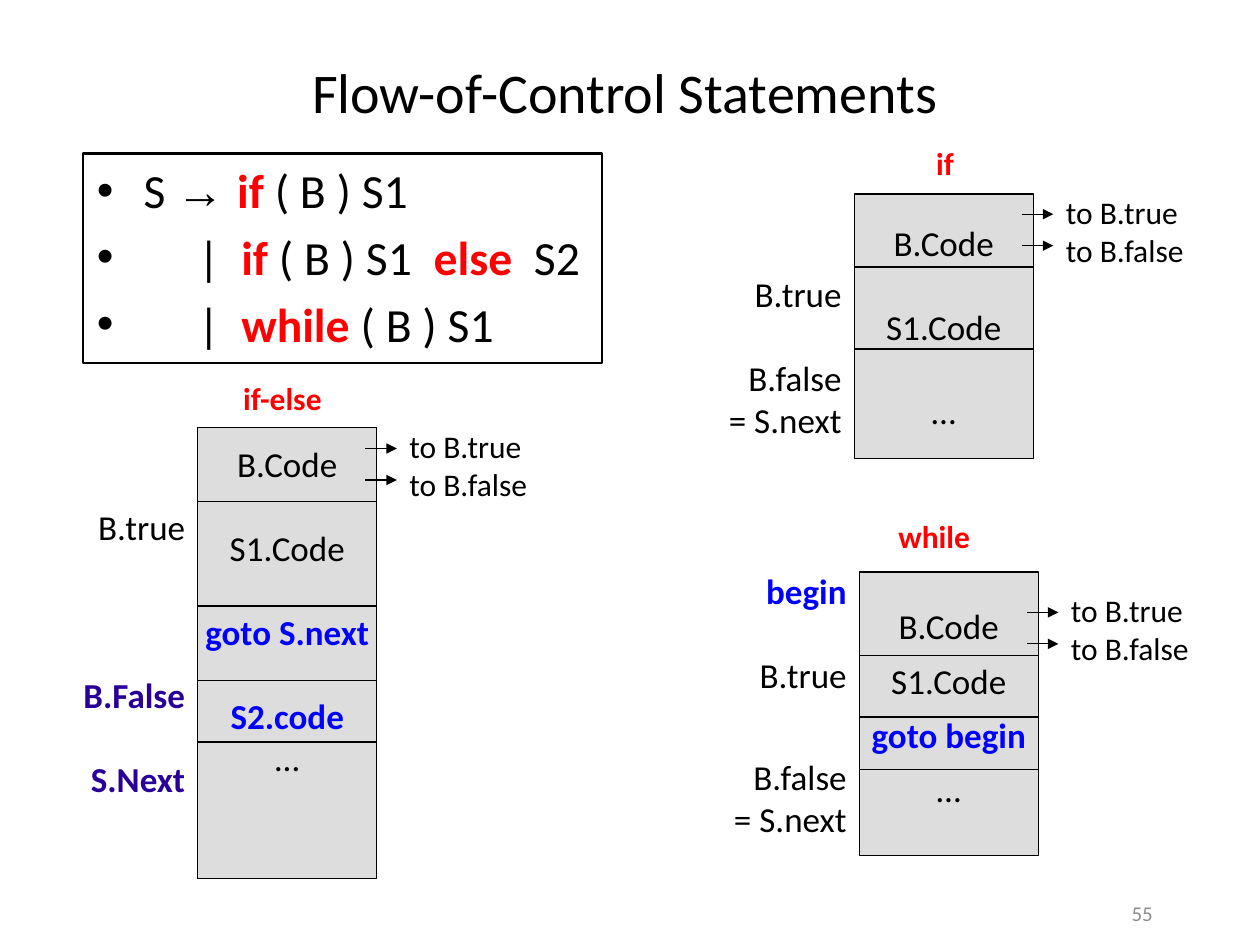
from pptx import Presentation
from pptx.dml.color import RGBColor
from pptx.enum.shapes import MSO_CONNECTOR, MSO_SHAPE
from pptx.enum.text import MSO_ANCHOR, PP_ALIGN
from pptx.oxml.ns import qn
from pptx.util import Pt
from lxml.etree import SubElement

SCALE = 9144  # EMU per px, 100 px to the inch
BLACK = RGBColor(0x00, 0x00, 0x00)
WHITE = RGBColor(0xFF, 0xFF, 0xFF)
GREY = RGBColor(0xDD, 0xDD, 0xDD)
DIM = RGBColor(0x8C, 0x8C, 0x8C)
RED = RGBColor(0xFF, 0x00, 0x00)
BLUE = RGBColor(0x00, 0x00, 0xFF)
VIOLET = RGBColor(0x28, 0x00, 0x99)
LEFT, CENTER, RIGHT = PP_ALIGN.LEFT, PP_ALIGN.CENTER, PP_ALIGN.RIGHT


def px(*sizes):
    return [size * SCALE for size in sizes]


class Board:
    font = "Calibri"

    def __init__(self, slide):
        self.slide = slide

    def style(self, run, size, color, bold=False, font=None):
        run.font.name = font or self.font
        run.font.size = Pt(size)
        run.font.color.rgb = color
        run.font.bold = bold

    def label(self, frame, lines, size, align, anchor=MSO_ANCHOR.TOP, top=0):
        """Each line is text, space before in points, colour, bold."""
        frame.word_wrap = True
        frame.vertical_anchor = anchor
        frame.margin_left = frame.margin_right = frame.margin_bottom = 0
        frame.margin_top = top * SCALE
        frame.text = "\n".join(line[0] for line in lines)
        for para, (_, gap, color, bold) in zip(frame.paragraphs, lines):
            para.alignment = align
            para.space_before = Pt(gap)
            self.style(para.runs[0], size, color, bold)

    def text(self, box, lines, size, align=LEFT, anchor=MSO_ANCHOR.TOP):
        frame = self.slide.shapes.add_textbox(*px(*box)).text_frame
        self.label(frame, lines, size, align, anchor)

    def rect(self, box, fill, width):
        shape = self.slide.shapes.add_shape(MSO_SHAPE.RECTANGLE, *px(*box))
        shape.shadow.inherit = False
        shape.fill.solid()
        shape.fill.fore_color.rgb = fill
        shape.line.color.rgb = BLACK
        shape.line.width = Pt(width)
        return shape.text_frame

    def line(self, left, right, y, arrow=False):
        link = self.slide.shapes.add_connector(
            MSO_CONNECTOR.STRAIGHT, *px(left, y, right, y))
        link.line.color.rgb = BLACK
        link.line.width = Pt(0.75)
        props = link._element.spPr
        if arrow:
            SubElement(props.find(qn("a:ln")), qn("a:tailEnd"), type="triangle")
        SubElement(props, qn("a:effectLst"))

    def rules(self, box, rows):
        """Bulleted grammar; each row is its indent and its runs."""
        frame = self.rect(box, WHITE, 1.45)
        frame.word_wrap = True
        frame.vertical_anchor = MSO_ANCHOR.TOP
        frame.margin_left = frame.margin_right = 11 * SCALE
        frame.margin_top = frame.margin_bottom = 6 * SCALE
        for num, (indent, runs) in enumerate(rows):
            para = frame.add_paragraph() if num else frame.paragraphs[0]
            para.alignment = LEFT
            para.space_before = Pt(5.4)
            props = para._p.get_or_add_pPr()
            props.set("marL", str(indent * SCALE))
            props.set("indent", str(-indent * SCALE))
            SubElement(props, qn("a:buFont"), typeface="Arial")
            SubElement(props, qn("a:buChar"), char="•")
            for word in runs:
                run = para.add_run()
                run.text = word
                key = word in ("if", "else", "while")
                self.style(run, 27.2, RED if key else BLACK, key,
                           "Arial" if word == "→ " else None)

    def block(self, box, head, code, inset, cuts, exit_y, tags):
        """Code layout: heading, cells, jumps out and labels on the left."""
        left, top, width, _ = box
        right = left + width
        self.label(self.rect(box, GREY, 0.75), code, 20, CENTER, top=inset)
        for cut in cuts:
            self.line(left, right, cut)
        # Jumps out
        for y in (exit_y, exit_y + 25):
            self.line(right - 9, right + 16, y, arrow=True)
        jumps = [("to B.true", 0, BLACK, False), ("to B.false", 0, BLACK, False)]
        self.text((right + 26, exit_y - 17, 110, 61), jumps, 18)
        # Heading and labels
        word, x, y = head
        self.text((x, y, 90, 31), [(word, 0, RED, True)], 18)
        y, high, names = tags
        self.text((left - 120, y, 110, high), names, 20, RIGHT)


def main():
    deck = Presentation()
    deck.slide_width, deck.slide_height = px(1000, 750)
    board = Board(deck.slides.add_slide(deck.slide_layouts[6]))

    # Title and page number
    board.text((75, 40, 842, 64),
               [("Flow-of-Control Statements", 0, BLACK, False)],
               32, CENTER, MSO_ANCHOR.MIDDLE)
    board.text((725, 708, 190, 33), [("55", 0, DIM, False)],
               12, RIGHT, MSO_ANCHOR.MIDDLE)

    # Grammar
    board.rules((66, 122, 412, 166), [
        (37, ["S ", "→ ", "if", " ( B ) S1"]),
        (80, ["|  ", "if", " ( B ) S1  ", "else", "  S2"]),
        (80, ["|  ", "while", " ( B ) S1"]),
    ])

    # Code layouts
    first = ("B.Code", 0, BLACK, False)
    after = [("B.false", 24, BLACK, False), ("= S.next", 0, BLACK, False)]
    board.block(
        (678, 154, 142, 210), ("if", 743, 114),
        [first, ("S1.Code", 24, BLACK, False), ("…", 24, BLACK, False)],
        22, (212, 277), 170,
        (216, 143, [("B.true", 0, BLACK, False), *after]))
    board.block(
        (157, 339, 142, 358), ("if-else", 193, 301),
        [first, ("S1.Code", 24, BLACK, False), ("goto S.next", 24, BLUE, True),
         ("S2.code", 24, BLUE, True), ("…", 0, BLACK, False)],
        12, (398, 481, 540, 589), 356,
        (401, 267, [("B.true", 0, BLACK, False), ("B.False", 72, VIOLET, True),
                    ("S.Next", 24, VIOLET, True)]))
    board.block(
        (682, 454, 142, 225), ("while", 713, 410),
        [first, ("S1.Code", 7, BLACK, False), ("goto begin", 7, BLUE, True),
         ("…", 7, BLACK, False)],
        26, (520, 569, 611), 486,
        (452, 224, [("begin", 0, BLUE, True), ("B.true", 24, BLACK, False),
                    ("B.false", 34, BLACK, False), after[1]]))

    deck.save("out.pptx")


if __name__ == "__main__":
    main()
